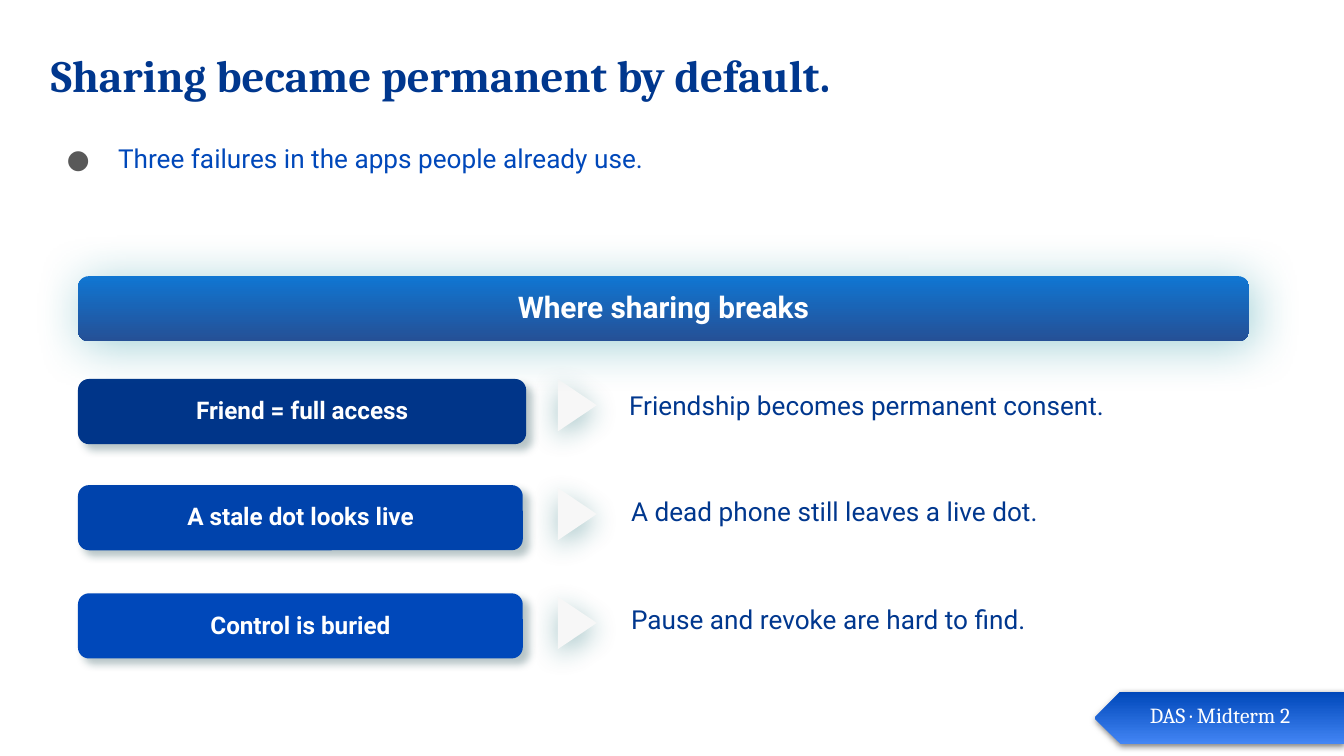
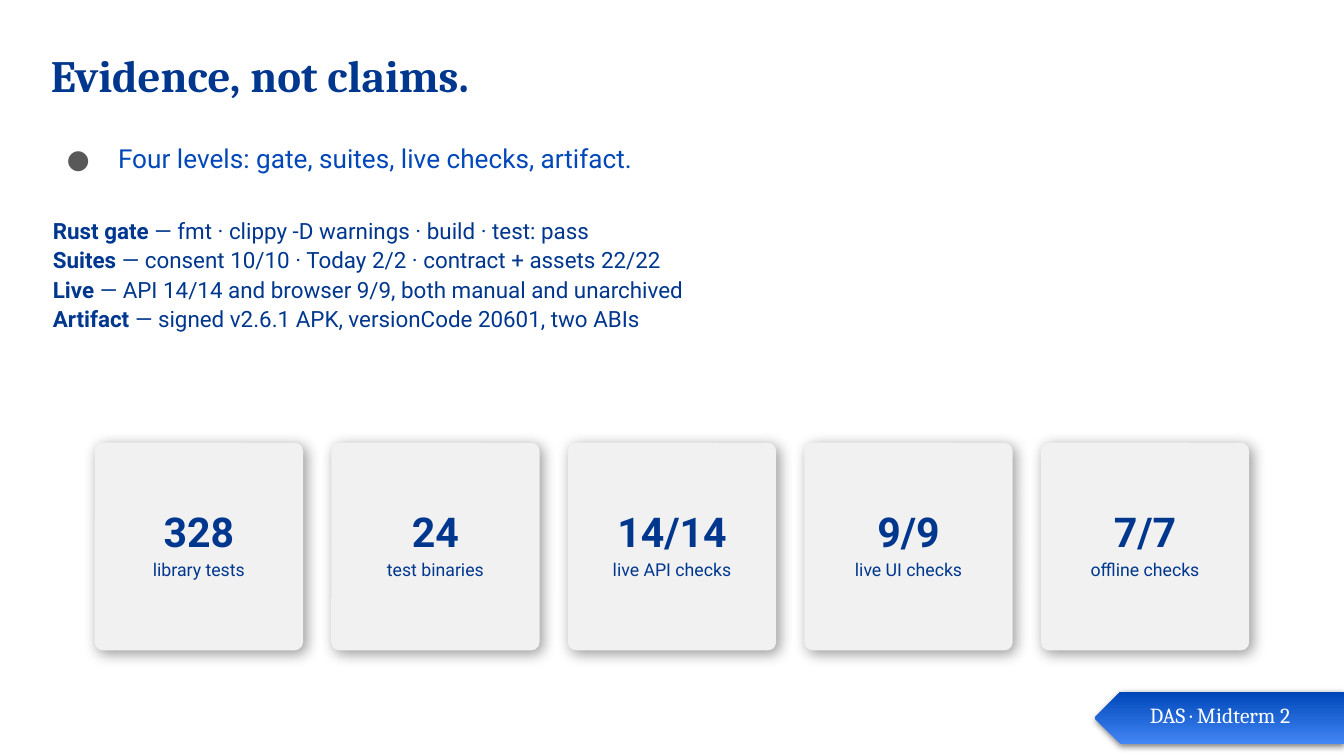
from dataclasses import dataclass
from typing import NamedTuple

import lxml.etree
import pptx
import pptx.dml.color
import pptx.enum.shapes
import pptx.enum.text
import pptx.oxml.ns
import pptx.presentation
import pptx.shapes.autoshape
import pptx.shapes.shapetree
import pptx.slide
import pptx.text.text
import pptx.util

RGB = pptx.dml.color.RGBColor
SHAPE = pptx.enum.shapes.MSO_SHAPE
ALIGN = pptx.enum.text.PP_ALIGN
ANCHOR = pptx.enum.text.MSO_ANCHOR

EMU_PER_PX = 4572  # 200 px to the inch
SLIDE_WIDTH, SLIDE_HEIGHT = 2000, 1125

WHITE = RGB(0xFF, 0xFF, 0xFF)
NAVY = RGB(0x00, 0x37, 0x8E)
DEEP_NAVY = RGB(0x00, 0x35, 0x89)
ROYAL = RGB(0x00, 0x43, 0xAC)
BLUE = RGB(0x00, 0x48, 0xBA)
SKY = RGB(0x42, 0x85, 0xF4)
BANNER_TOP = RGB(0x10, 0x76, 0xD2)
BANNER_BOTTOM = RGB(0x25, 0x50, 0x96)
POINTER_GREY = RGB(0xF7, 0xF7, 0xF7)
CARD_GREY = RGB(0xF1, 0xF1, 0xF1)
BULLET_GREY = RGB(0x59, 0x59, 0x59)
BLACK = RGB(0x00, 0x00, 0x00)
TEAL_INK = RGB(0x0F, 0x3D, 0x44)
TEAL = RGB(0x16, 0x6A, 0x71)
TEAL_GLOW = RGB(0x18, 0x8E, 0x9D)


class Box(NamedTuple):
    left: int
    top: int
    width: int
    height: int


class Insets(NamedTuple):
    left: int = 0
    top: int = 0
    right: int = 0
    bottom: int = 0


class Shadow(NamedTuple):
    """Blur and distance are points, opacity percent, direction degrees."""
    color: RGB
    opacity: int
    blur: float
    distance: float
    direction: int


class Gradient(NamedTuple):
    start: RGB
    end: RGB


@dataclass(frozen=True)
class Style:
    size: float
    color: RGB
    bold: bool = False
    font: str = "Roboto"
    align: ALIGN = ALIGN.LEFT
    spacing: float = 0.95
    after: int = 0


@dataclass(frozen=True)
class Failure:
    name: str
    effect: str
    fill: RGB
    top: int
    name_width: int
    effect_left: int
    effect_width: int


class Metric(NamedTuple):
    value: str
    label: str


class Evidence(NamedTuple):
    level: str
    result: str


TITLE = Style(24, NAVY, True, "Cambria", spacing=0.9)
SUBTITLE = Style(14, BLUE)
BANNER = Style(16, WHITE, True, align=ALIGN.CENTER)
FAILURE_NAME = Style(13, WHITE, True, align=ALIGN.CENTER)
FAILURE_EFFECT = Style(14, NAVY)
LEVEL = Style(12, NAVY, True, after=2)
RESULT = Style(12, NAVY, after=2)
METRIC_VALUE = Style(22, NAVY, True, align=ALIGN.CENTER, spacing=0.9, after=2)
METRIC_LABEL = Style(9.5, NAVY, align=ALIGN.CENTER)
FOOTER = Style(11.5, WHITE, font="Cambria", spacing=1.0)

NAME_SHADOW = Shadow(TEAL_INK, 30, 4.2, 4.2, 45)
POINTER_SHADOW = Shadow(TEAL, 40, 14.8, 3.5, 90)
BANNER_SHADOW = Shadow(TEAL_GLOW, 40, 25.4, 2.8, 45)
CARD_SHADOW = Shadow(BLACK, 40, 7.5, 2.2, 45)
FOOTER_SHADOW = Shadow(BLACK, 50, 3.4, 1.1, 90)

FAILURES = [
    Failure("Friend = full access", "Friendship becomes permanent consent.",
            DEEP_NAVY, 564, 667, 918, 964),
    Failure("A stale dot looks live", "A dead phone still leaves a live dot.",
            ROYAL, 722, 662, 921, 964),
    Failure("Control is buried", "Pause and revoke are hard to find.",
            BLUE, 883, 662, 921, 936),
]
EVIDENCE = [
    Evidence("Rust gate", " — fmt · clippy -D warnings · build · test: pass"),
    Evidence("Suites", " — consent 10/10 · Today 2/2 · contract + assets 22/22"),
    Evidence("Live", " — API 14/14 and browser 9/9, both manual and unarchived"),
    Evidence("Artifact", " — signed v2.6.1 APK, versionCode 20601, two ABIs"),
]
METRICS = [
    Metric("328", "library tests"),
    Metric("24", "test binaries"),
    Metric("14/14", "live API checks"),
    Metric("9/9", "live UI checks"),
    Metric("7/7", "offline checks"),
]

Shapes = pptx.shapes.shapetree.SlideShapes | pptx.shapes.shapetree.GroupShapes
AutoShape = pptx.shapes.autoshape.Shape
Frame = pptx.text.text.TextFrame


def px(length: int) -> pptx.util.Emu:
    return pptx.util.Emu(length * EMU_PER_PX)


def add_element(parent: lxml.etree._Element, tag: str,
                **attributes: object) -> lxml.etree._Element:
    child = lxml.etree.SubElement(parent, pptx.oxml.ns.qn(tag))
    for key, value in attributes.items():
        child.set(key, str(value))
    return child


def cast_shadow(shape: AutoShape, shadow: Shadow) -> None:
    shape.shadow.inherit = False
    effects = shape._element.spPr.find(pptx.oxml.ns.qn("a:effectLst"))
    outer = add_element(effects, "a:outerShdw",
                        blurRad=int(pptx.util.Pt(shadow.blur)),
                        dist=int(pptx.util.Pt(shadow.distance)),
                        dir=shadow.direction * 60000,
                        algn="bl", rotWithShape=0)
    color = add_element(outer, "a:srgbClr", val=shadow.color)
    add_element(color, "a:alpha", val=shadow.opacity * 1000)


def add_panel(shapes: Shapes, kind: SHAPE, box: Box, fill: RGB | Gradient,
              shadow: Shadow, corner: float = 0.5, rotation: int = 0) -> AutoShape:
    """Draw an unlined, shadowed preset shape; a gradient runs downwards."""
    panel = shapes.add_shape(kind, *map(px, box))
    panel.adjustments[0] = corner
    panel.rotation = rotation
    panel.line.fill.background()
    if isinstance(fill, Gradient):
        panel.fill.gradient()
        panel.fill.gradient_angle = 270
        for stop, color in zip(panel.fill.gradient_stops, fill):
            stop.color.rgb = color
    else:
        panel.fill.solid()
        panel.fill.fore_color.rgb = fill
    cast_shadow(panel, shadow)
    return panel


def style_font(font: pptx.text.text.Font, style: Style) -> None:
    font.name = style.font
    font.size = pptx.util.Pt(style.size)
    font.bold = style.bold
    font.color.rgb = style.color


def style_paragraph(paragraph: pptx.text.text._Paragraph, style: Style) -> None:
    paragraph.alignment = style.align
    paragraph.line_spacing = style.spacing
    paragraph.space_after = pptx.util.Pt(style.after)
    for run in paragraph.runs:
        style_font(run.font, style)


def set_up_frame(frame: Frame, insets: Insets, anchor: ANCHOR) -> None:
    frame.word_wrap = True
    frame.vertical_anchor = anchor
    frame.margin_left, frame.margin_top, frame.margin_right, frame.margin_bottom = (
        map(px, insets))


def write(frame: Frame, text: str, *styles: Style, insets: Insets = Insets(),
          anchor: ANCHOR = ANCHOR.MIDDLE) -> None:
    """Fill a frame, one style for each line of the text."""
    set_up_frame(frame, insets, anchor)
    frame.text = text
    for paragraph, style in zip(frame.paragraphs, styles):
        style_paragraph(paragraph, style)


def add_text(shapes: Shapes, box: Box) -> Frame:
    return shapes.add_textbox(*map(px, box)).text_frame


def add_bullet(paragraph: pptx.text.text._Paragraph) -> None:
    properties = paragraph._p.get_or_add_pPr()
    properties.set("marL", str(px(100)))
    properties.set("indent", str(px(-76)))
    color = add_element(properties, "a:buClr")
    add_element(color, "a:srgbClr", val=BULLET_GREY)
    add_element(properties, "a:buFont", typeface="Roboto")
    add_element(properties, "a:buChar", char="●")


def add_footer(slide: pptx.slide.Slide) -> None:
    footer = slide.shapes.add_group_shape().shapes
    add_panel(footer, SHAPE.PENTAGON, Box(1629, 1030, 371, 77), Gradient(SKY, BLUE),
              FOOTER_SHADOW, rotation=180)
    write(add_text(footer, Box(1695, 1029, 272, 76)), "DAS · Midterm 2", FOOTER,
          insets=Insets(16, 16, 16, 16), anchor=ANCHOR.TOP)


def add_slide(deck: pptx.presentation.Presentation, title: str,
              subtitle: str) -> pptx.slide.Slide:
    """Add a blank slide with the shared heading and footer."""
    slide = deck.slides.add_slide(deck.slide_layouts[6])
    insets = Insets(20, 20, 20, 20)
    write(add_text(slide.shapes, Box(56, 60, 1864, 134)), title, TITLE,
          insets=insets, anchor=ANCHOR.TOP)
    lead = add_text(slide.shapes, Box(56, 196, 1864, 108))
    write(lead, subtitle, SUBTITLE, insets=insets, anchor=ANCHOR.TOP)
    add_bullet(lead.paragraphs[0])
    add_footer(slide)
    return slide


def build_failures(deck: pptx.presentation.Presentation) -> None:
    shapes = add_slide(deck, "Sharing became permanent by default.",
                       "Three failures in the apps people already use.").shapes
    for row, failure in enumerate(FAILURES):
        name = add_panel(shapes, SHAPE.ROUNDED_RECTANGLE,
                         Box(116, failure.top, failure.name_width, 97),
                         failure.fill, NAME_SHADOW, 0.17)
        write(name.text_frame, failure.name, FAILURE_NAME)
        add_panel(shapes, SHAPE.ISOSCELES_TRIANGLE, Box(820, 574 + 162 * row, 78, 58),
                  POINTER_GREY, POINTER_SHADOW, rotation=90)
        effect = add_text(shapes, Box(failure.effect_left, failure.top - 4,
                                      failure.effect_width, 90))
        write(effect, failure.effect, FAILURE_EFFECT, insets=Insets(18, 10, 18, 10))
    banner = add_panel(shapes, SHAPE.ROUNDED_RECTANGLE, Box(116, 411, 1743, 97),
                       Gradient(BANNER_TOP, BANNER_BOTTOM), BANNER_SHADOW, 0.17)
    write(banner.text_frame, "Where sharing breaks", BANNER)


def build_evidence(deck: pptx.presentation.Presentation) -> None:
    shapes = add_slide(deck, "Evidence, not claims.",
                       "Four levels: gate, suites, live checks, artifact.").shapes
    levels = add_text(shapes, Box(59, 320, 1864, 290))
    write(levels, "\n".join(item.level for item in EVIDENCE),
          *[LEVEL] * len(EVIDENCE), insets=Insets(20, 6, 10, 6), anchor=ANCHOR.TOP)
    for paragraph, item in zip(levels.paragraphs, EVIDENCE):
        result = paragraph.add_run()
        result.text = item.result
        style_font(result.font, RESULT)
    for column, metric in enumerate(METRICS):
        card = add_panel(shapes, SHAPE.ROUNDED_RECTANGLE,
                         Box(141 + 352 * column, 659, 310, 309),
                         CARD_GREY, CARD_SHADOW, 0.04)
        write(card.text_frame, "\n".join(metric), METRIC_VALUE, METRIC_LABEL,
              insets=Insets(8, 6, 8, 6))


def main() -> None:
    deck = pptx.Presentation()
    deck.slide_width, deck.slide_height = px(SLIDE_WIDTH), px(SLIDE_HEIGHT)
    build_failures(deck)
    build_evidence(deck)
    deck.save("out.pptx")


if __name__ == "__main__":
    main()
